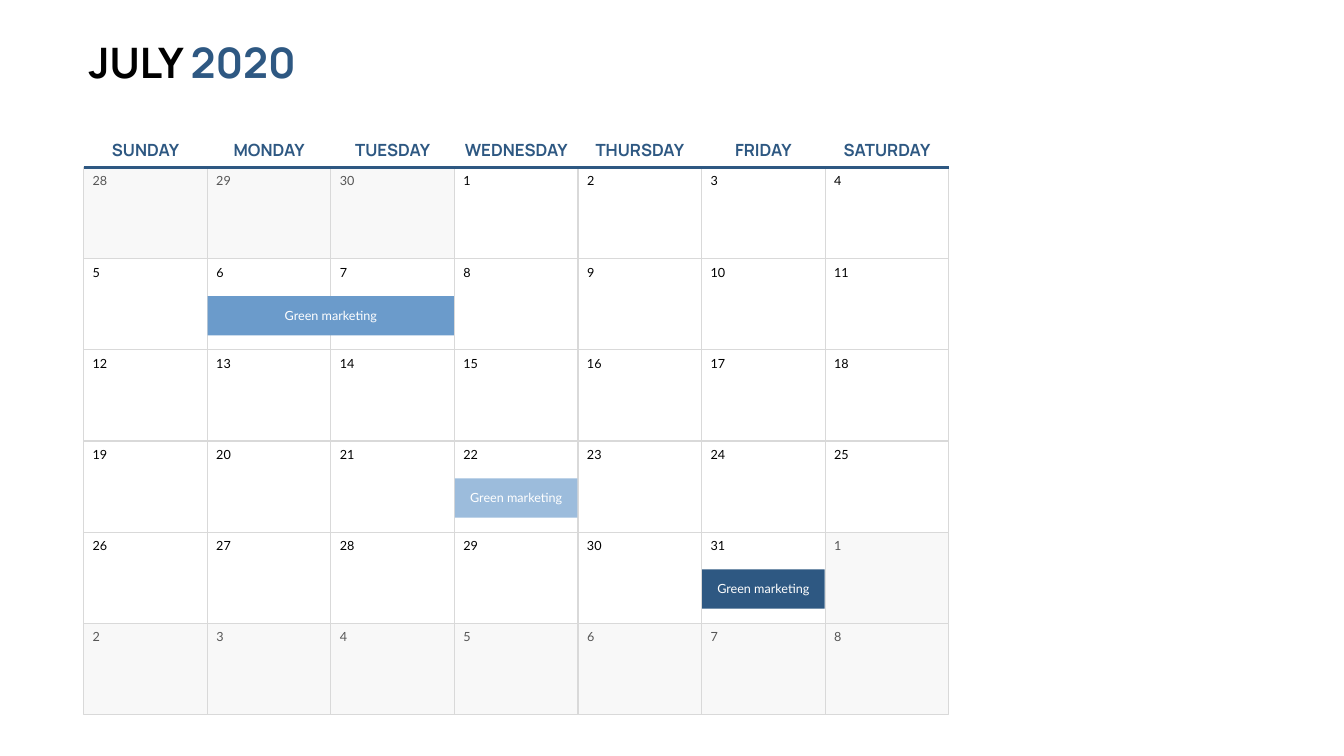
from itertools import chain

from lxml.etree import SubElement
from pptx import Presentation
from pptx.dml.color import RGBColor
from pptx.enum.shapes import MSO_CONNECTOR as Connector, MSO_SHAPE as Shape
from pptx.enum.text import MSO_ANCHOR as Anchor, MSO_AUTO_SIZE as AutoSize, PP_ALIGN as Align
from pptx.oxml.ns import qn
from pptx.util import Inches, Pt

COLORS = {
    "black": "000000", "white": "FFFFFF", "muted": "565656",
    "shade": "F2F2F2", "border": "D9D9D9",
    "navy": "2E5882", "blue": "6B9BCB", "sky": "9CBCDC",
}
HEADING, BODY = "Manrope", "Lato"
COLUMNS, ROWS = 7, 6
LEFT, TOP = 1.66, 3.33
COLUMN, ROW = 17.16 / COLUMNS, 10.84 / ROWS


class CalendarPage:
    """Draws calendar elements on one slide; columns and rows count from zero."""

    def __init__(self, page):
        self.page = page

    def color(self, name):
        return RGBColor.from_string(COLORS[name])

    def corner(self, column, row):
        return LEFT + column * COLUMN, TOP + row * ROW

    def rect(self, left, top, width, height, fill, alpha=None, border=None, parent=None):
        shapes = (parent or self.page).shapes
        box = shapes.add_shape(Shape.RECTANGLE, *map(Inches, (left, top, width, height)))
        box.shadow.inherit = False
        box.fill.solid()
        box.fill.fore_color.rgb = self.color(fill)
        if alpha:
            tint = box.fill._xPr.find(qn("a:solidFill"))[0]
            SubElement(tint, qn("a:alpha")).set("val", str(alpha * 1000))
        if border:
            box.line.color.rgb = self.color(border)
            box.line.width = Pt(1.5)
        else:
            box.line.fill.background()

    def text(self, left, top, width, height, runs, size, font=BODY, bold=False,
             align=Align.LEFT, anchor=Anchor.MIDDLE, wrap=False, parent=None):
        shapes = (parent or self.page).shapes
        box = shapes.add_textbox(*map(Inches, (left, top, width, height)))
        frame = box.text_frame
        frame.word_wrap = wrap
        frame.auto_size = AutoSize.SHAPE_TO_FIT_TEXT
        frame.vertical_anchor = anchor
        para = frame.paragraphs[0]
        para.alignment = align
        for words, color in runs:
            span = para.add_run()
            span.text = words
            span.font.name, span.font.size, span.font.bold = font, Pt(size), bold
            span.font.color.rgb = self.color(color)

    def day(self, column, row, number, in_month):
        left, top = self.corner(column, row)
        fill, alpha, ink = ("white", None, "black") if in_month else ("shade", 50, "muted")
        self.rect(left, top, COLUMN, ROW, fill, alpha, "border")
        width = 0.35 if number < 10 else 0.5
        self.text(left + 0.08, top + 0.06, width, 0.4, [(str(number), ink)], 18)

    def weekday(self, column, name, width):
        center, _ = self.corner(column + 0.5, 0)
        self.text(center - width / 2, 2.72, width, 0.5, [(name, "navy")], 24,
                  HEADING, True, Align.CENTER)

    def rule(self, color, points):
        ends = (*self.corner(0, 0), *self.corner(COLUMNS, 0))
        line = self.page.shapes.add_connector(Connector.STRAIGHT, *map(Inches, ends))
        line.line.color.rgb = self.color(color)
        line.line.width = Pt(points)
        SubElement(line._element.spPr, qn("a:effectLst"))

    def event(self, column, row, days, title, color):
        left, top = self.corner(column, row)
        left, top, width = left + 0.01, top + 0.74, days * COLUMN - 0.02
        group = self.page.shapes.add_group_shape()
        self.rect(left, top, width, 0.78, color, parent=group)
        self.text(left + 0.16, top + 0.19, width - 0.32, 0.4, [(title, "white")], 18,
                  align=Align.CENTER, anchor=Anchor.TOP, wrap=True, parent=group)


deck = Presentation()
deck.slide_width, deck.slide_height = Inches(26.66), Inches(15)
calendar = CalendarPage(deck.slides.add_slide(deck.slide_layouts[6]))

# Title
calendar.text(1.66, 0.67, 4.48, 1.11, [("JULY ", "black"), ("2020", "navy")], 60,
              HEADING, True, anchor=Anchor.TOP)

# Days: the end of June, all of July, the start of August
june, july, august = range(28, 31), range(1, 32), range(1, 9)
for index, number in enumerate(chain(june, july, august)):
    row, column = divmod(index, COLUMNS)
    calendar.day(column, row, number, 0 <= index - len(june) < len(july))

# Weekday names and the rule below them
weekdays = {"SUNDAY": 1.62, "MONDAY": 1.75, "TUESDAY": 1.75, "WEDNESDAY": 2.35,
            "THURSDAY": 2.03, "FRIDAY": 1.43, "SATURDAY": 2.03}
for column, (name, width) in enumerate(weekdays.items()):
    calendar.weekday(column, name, width)
calendar.rule("navy", 4.5)

# Events: column, row, days, colour
for column, row, days, color in [(1, 1, 2, "blue"), (3, 3, 1, "sky"), (5, 4, 1, "navy")]:
    calendar.event(column, row, days, "Green marketing", color)

deck.save("out.pptx")
